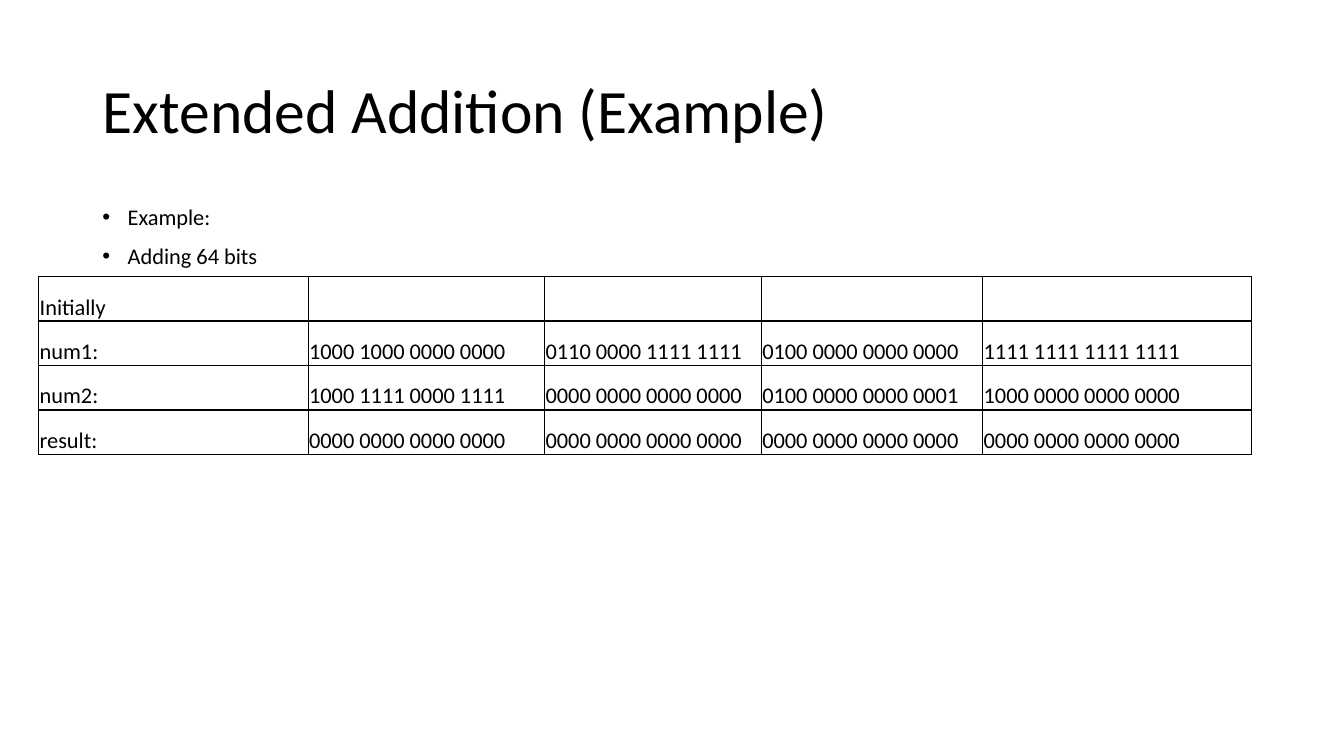
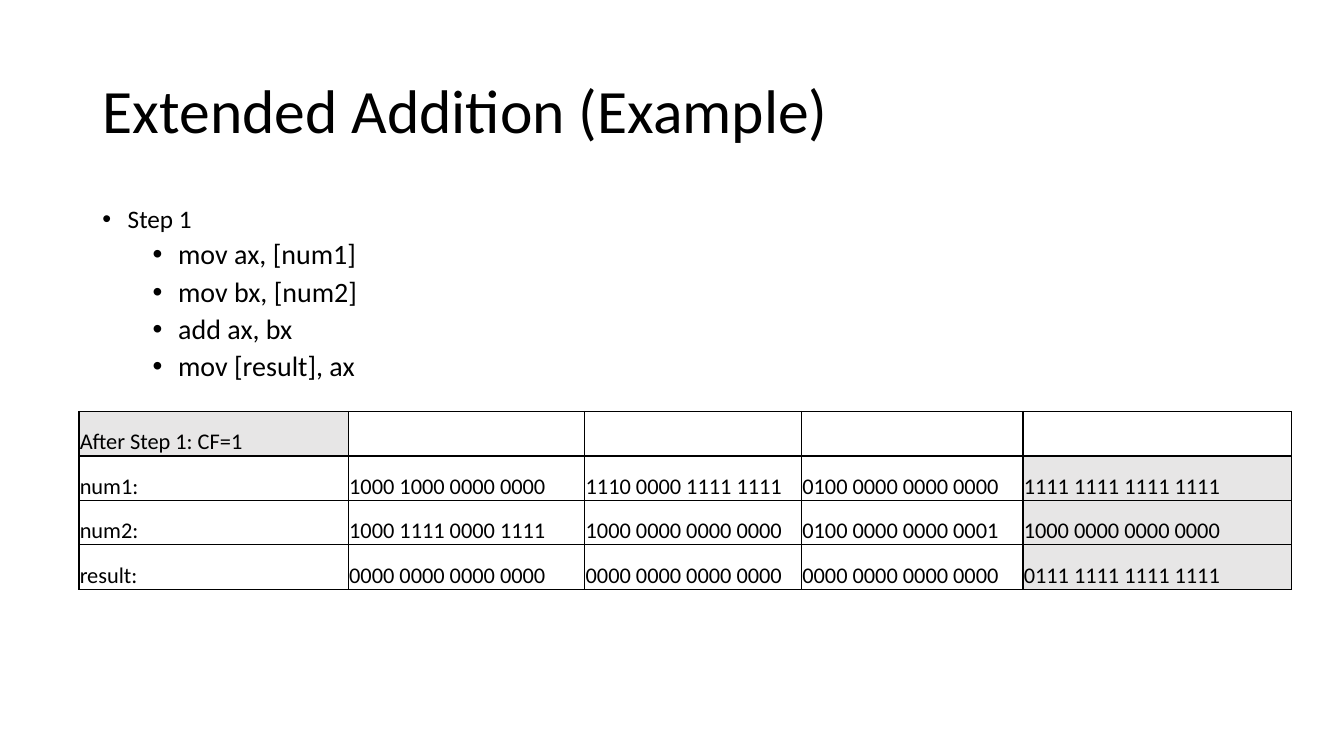
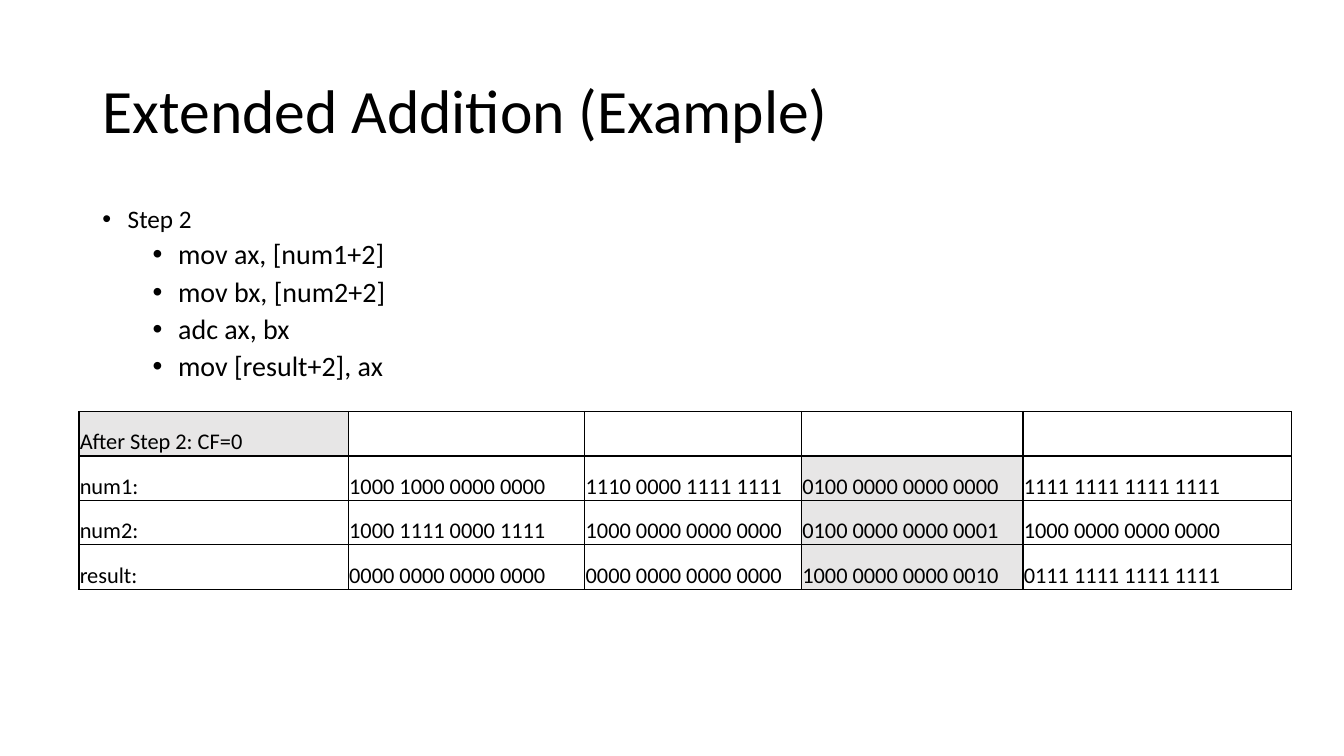
"""Build three slides that walk through a 64-bit extended addition."""
from lxml import etree
from pptx import Presentation
from pptx import util as u
from pptx.dml import color
from pptx.enum import text
from pptx.oxml import ns

COLOURS = {"ink": "000000", "paper": "FFFFFF", "active": "E7E6E6"}
FONT = "Calibri"
TITLE = "Extended Addition (Example)"
TITLE_BOX = (2.33, 1.01, 29.21, 3.68)
STEPS_BOX = (2.33, 5.08, 29.21, 12.09)
COLUMN_WIDTHS = (6.79, 5.96, 5.46, 5.58, 6.77)
ROW_HEIGHT = 1.12

TITLE_FRAME = {"auto_size": text.MSO_AUTO_SIZE.NONE, "word_wrap": True,
               "vertical_anchor": text.MSO_ANCHOR.MIDDLE}
TITLE_PARAGRAPH = {"alignment": text.PP_ALIGN.LEFT, "line_spacing": 0.9}
STEP_PARAGRAPHS = [
    {"level": 0, "line_spacing": 0.9, "space_before": u.Pt(10)},
    {"level": 1, "line_spacing": 0.9, "space_before": u.Pt(5)},
]
STEP_INDENTS = (0.64, 1.91)
BULLET_HANG = 0.64
CELL = {"vertical_anchor": text.MSO_ANCHOR.BOTTOM, "margin_left": u.Cm(0.02),
        "margin_right": u.Cm(0.02), "margin_top": u.Cm(0.02), "margin_bottom": 0}
PLAIN_TABLE = {"first_row": False, "horz_banding": False}

ZERO = "0000 0000 0000 0000"
ONES = "1111 1111 1111 1111"
TOP_BIT = "1000 0000 0000 0000"
LOW_SUM = "0111 1111 1111 1111"
NUM1 = ["1000 1000 0000 0000", "1110 0000 1111 1111", "0100 0000 0000 0000", ONES]
NUM2 = ["1000 1111 0000 1111", TOP_BIT, "0100 0000 0000 0001", TOP_BIT]

STAGES = [
    {
        "steps": [(0, 16, "Example:"), (0, 16, "Adding 64 bits")],
        "corner": (0.98, 6.97),
        "state": "Initially",
        "num1": [NUM1[0], "0110 0000 1111 1111", *NUM1[2:]],
        "num2": [NUM2[0], ZERO, *NUM2[2:]],
        "result": [ZERO] * 4,
        "active": None,
    },
    {
        "steps": [(0, 18, "Step 1"), (1, 20, "mov ax, [num1]"), (1, 20, "mov bx, [num2]"),
                  (1, 20, "add ax, bx"), (1, 20, "mov [result], ax")],
        "corner": (1.99, 10.37),
        "state": "After Step 1: CF=1",
        "num1": NUM1,
        "num2": NUM2,
        "result": [ZERO] * 3 + [LOW_SUM],
        "active": 4,
    },
    {
        "steps": [(0, 18, "Step 2"), (1, 20, "mov ax, [num1+2]"), (1, 20, "mov bx, [num2+2]"),
                  (1, 20, "adc ax, bx"), (1, 20, "mov [result+2], ax")],
        "corner": (1.99, 10.37),
        "state": "After Step 2: CF=0",
        "num1": NUM1,
        "num2": NUM2,
        "result": [ZERO] * 2 + ["1000 0000 0000 0010", LOW_SUM],
        "active": 3,
    },
]


def apply(target, values):
    """Set each attribute named in values on target."""
    for attribute, value in values.items():
        setattr(target, attribute, value)


def lengths(box):
    """Turn a box in centimetres into lengths."""
    return [u.Cm(side) for side in box]


def rgb(role):
    """Give the colour that plays a role."""
    return color.RGBColor.from_string(COLOURS[role])


def write(paragraph, words, size):
    """Put words into a paragraph in the shared font."""
    run = paragraph.add_run()
    run.text = words
    apply(run.font, {"name": FONT, "size": u.Pt(size)})
    run.font.color.rgb = rgb("ink")


def place_title(slide, box):
    """Move the title placeholder into the box and fill it."""
    title = slide.shapes.title
    apply(title, dict(zip(("left", "top", "width", "height"), lengths(box))))
    apply(title.text_frame, TITLE_FRAME)
    heading = title.text_frame.paragraphs[0]
    apply(heading, TITLE_PARAGRAPH)
    write(heading, TITLE, 44)


def add_bullet(paragraph, indent):
    """Give a paragraph a round bullet with a hanging indent."""
    properties = paragraph._p.get_or_add_pPr()
    properties.set("marL", str(u.Cm(indent)))
    properties.set("indent", str(-u.Cm(BULLET_HANG)))
    etree.SubElement(properties, ns.qn("a:buFont"), typeface="Arial")
    etree.SubElement(properties, ns.qn("a:buChar"), char="•")


def place_steps(slide, box, steps):
    """List the steps as bullets inside the box."""
    frame = slide.shapes.add_textbox(*lengths(box)).text_frame
    frame.word_wrap = True
    for index, (level, size, words) in enumerate(steps):
        step = frame.add_paragraph() if index else frame.paragraphs[0]
        apply(step, STEP_PARAGRAPHS[level])
        add_bullet(step, STEP_INDENTS[level])
        write(step, words, size)


def add_borders(cell):
    """Draw a thin line on all four sides of a cell."""
    properties = cell._tc.get_or_add_tcPr()
    for index, side in enumerate(("lnL", "lnR", "lnT", "lnB")):
        border = etree.Element(ns.qn(f"a:{side}"), w=str(u.Pt(1)))
        fill = etree.SubElement(border, ns.qn("a:solidFill"))
        etree.SubElement(fill, ns.qn("a:srgbClr"), val=COLOURS["ink"])
        properties.insert(index, border)


def place_registers(slide, corner, stage):
    """Show the words of both numbers and the result from the corner on."""
    rows = [[stage["state"], "", "", "", ""]]
    rows += [[f"{name}:", *stage[name]] for name in ("num1", "num2", "result")]
    box = (*corner, sum(COLUMN_WIDTHS), ROW_HEIGHT * len(rows))
    registers = slide.shapes.add_table(len(rows), len(COLUMN_WIDTHS), *lengths(box)).table
    apply(registers, PLAIN_TABLE)
    for column, width in zip(registers.columns, COLUMN_WIDTHS):
        column.width = u.Cm(width)
    for r, row in enumerate(rows):
        registers.rows[r].height = u.Cm(ROW_HEIGHT)
        for c, words in enumerate(row):
            cell = registers.cell(r, c)
            apply(cell, CELL)
            active = stage["active"] and c == (stage["active"] if r else 0)
            cell.fill.solid()
            cell.fill.fore_color.rgb = rgb("active" if active else "paper")
            add_borders(cell)
            if words:
                write(cell.text_frame.paragraphs[0], words, 16)


def main():
    """Build one slide for each stage and save the deck."""
    deck = Presentation()
    apply(deck, {"slide_width": u.Cm(33.87), "slide_height": u.Cm(19.05)})
    title_only = deck.slide_layouts.get_by_name("Title Only")
    for stage in STAGES:
        slide = deck.slides.add_slide(title_only)
        place_title(slide, TITLE_BOX)
        place_steps(slide, STEPS_BOX, stage["steps"])
        place_registers(slide, stage["corner"], stage)
    deck.save("out.pptx")


if __name__ == "__main__":
    main()
